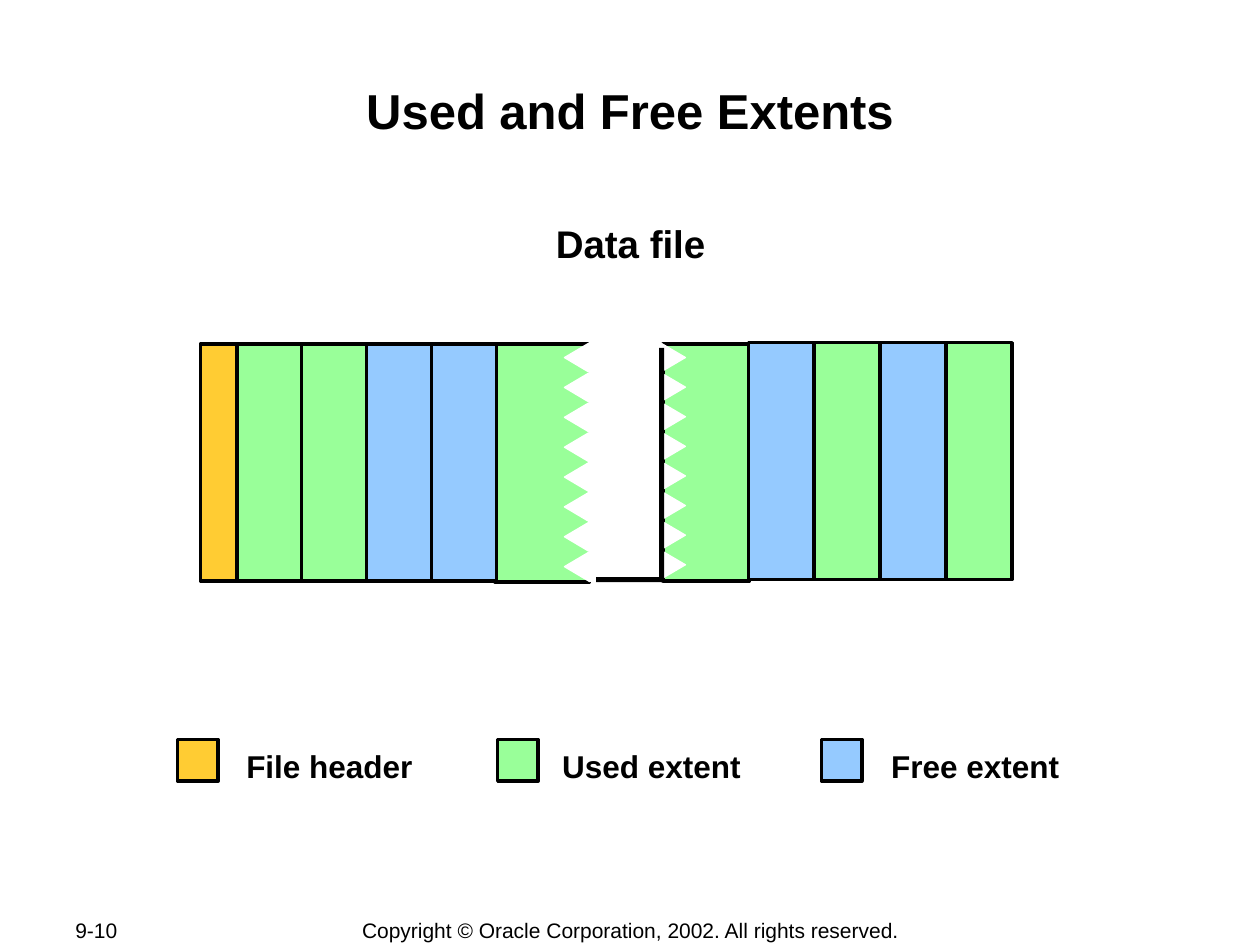
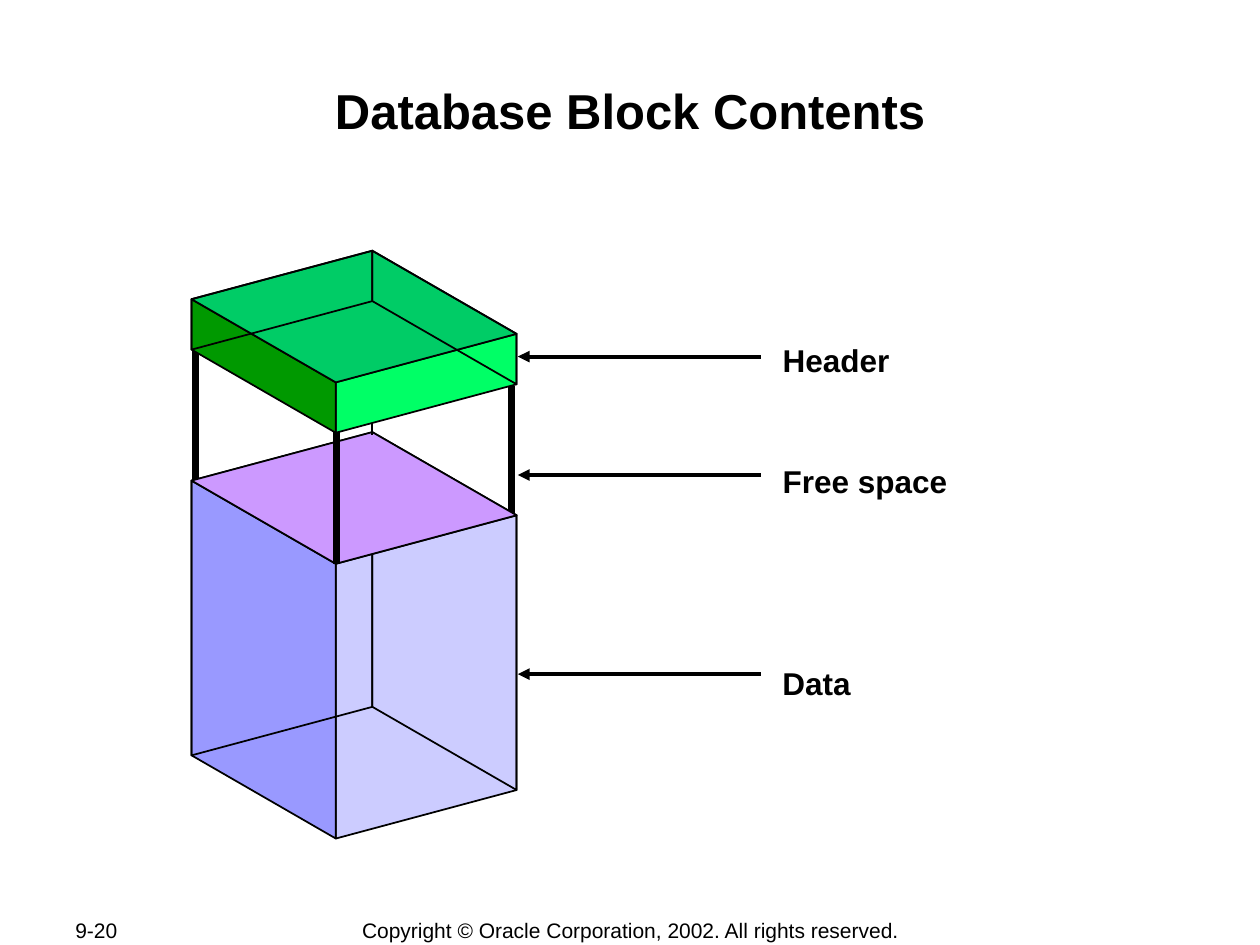
import dataclasses

import lxml.etree
import pptx
import pptx.dml.color
import pptx.enum.shapes
import pptx.enum.text
import pptx.oxml.ns
import pptx.util

ALIGN = pptx.enum.text.PP_ALIGN
ANCHOR = pptx.enum.text.MSO_ANCHOR
RECTANGLE = pptx.enum.shapes.MSO_SHAPE.RECTANGLE
STRAIGHT = pptx.enum.shapes.MSO_CONNECTOR.STRAIGHT

# The slide is a grid of 100 columns by 75 rows, all lengths count these cells
COLUMNS, ROWS = 100, 75
CELL = pptx.util.Inches(0.1)
COPYRIGHT = "Copyright © Oracle Corporation, 2002. All rights reserved."


@dataclasses.dataclass(frozen=True)
class Theme:
    font: str = "Arial"
    ink: str = "000000"
    paper: str = "FFFFFF"
    file_header: str = "FFCC33"
    used: str = "99FF99"
    free: str = "95CAFF"
    data_left: str = "9999FF"
    data_right: str = "CCCCFF"
    data_top: str = "CC99FF"
    header_left: str = "009900"
    header_right: str = "00FF66"
    header_top: str = "00CC66"
    title_size: float = 28
    heading_size: float = 22
    label_size: float = 18
    footer_size: float = 12
    hairline: float = 0.75
    edge: float = 1
    outline: float = 2
    arrow: float = 2.25
    post: float = 4


THEME = Theme()


@dataclasses.dataclass(frozen=True)
class Box:
    left: float
    top: float
    width: float
    height: float

    def inner(self, dx, dy, width, height):
        return Box(self.left + dx, self.top + dy, width, height)

    def point(self, dx, dy):
        return cells(self.left + dx), cells(self.top + dy)

    def emu(self):
        return [cells(n) for n in (self.left, self.top, self.width, self.height)]


def cells(count):
    return round(count * CELL)


def rgb(value):
    return pptx.dml.color.RGBColor.from_string(value)


# Drawing helpers

def paint(shape, fill=None, line=None, weight=THEME.outline):
    shape.shadow.inherit = False
    if fill:
        shape.fill.solid()
        shape.fill.fore_color.rgb = rgb(fill)
    else:
        shape.fill.background()
    if line:
        shape.line.color.rgb = rgb(line)
        shape.line.width = pptx.util.Pt(weight)
    else:
        shape.line.fill.background()
    return shape


def add_rect(shapes, box, **style):
    return paint(shapes.add_shape(RECTANGLE, *box.emu()), **style)


def add_polygon(shapes, points, **style):
    outline = shapes.build_freeform(*points[0], scale=1.0)
    outline.add_line_segments(points[1:], close=True)
    return paint(outline.convert_to_shape(), **style)


def add_line(shapes, start, end, weight, arrow=False):
    connector = shapes.add_connector(STRAIGHT, *start, *end)
    connector.line.color.rgb = rgb(THEME.ink)
    connector.line.width = pptx.util.Pt(weight)
    properties = connector._element.spPr
    if arrow:
        lxml.etree.SubElement(properties.find(pptx.oxml.ns.qn("a:ln")),
                              pptx.oxml.ns.qn("a:headEnd"), type="triangle")
    lxml.etree.SubElement(properties, pptx.oxml.ns.qn("a:effectLst"))


def cast_shadow(shape, color, distance, angle):
    effects = shape._element.spPr.find(pptx.oxml.ns.qn("a:effectLst"))
    shadow = lxml.etree.SubElement(
        effects, pptx.oxml.ns.qn("a:outerShdw"), blurRad="0",
        dist=str(pptx.util.Pt(distance)), dir=str(angle * 60000),
        algn="ctr", rotWithShape="0")
    lxml.etree.SubElement(shadow, pptx.oxml.ns.qn("a:srgbClr"), val=color)


def write(shape, text, size, bold=True, align=ALIGN.CENTER, anchor=ANCHOR.TOP,
          side=0.2, above=0.7):
    frame = shape.text_frame
    frame.word_wrap = True
    frame.auto_size = pptx.enum.text.MSO_AUTO_SIZE.NONE
    frame.vertical_anchor = anchor
    frame.margin_left = frame.margin_right = cells(side)
    frame.margin_top, frame.margin_bottom = cells(above), 0
    paragraph = frame.paragraphs[0]
    paragraph.text = text
    paragraph.alignment = align
    paragraph.space_before = pptx.util.Pt(0)
    font = paragraph.font
    font.name, font.size, font.bold = THEME.font, pptx.util.Pt(size), bold
    font.color.rgb = rgb(THEME.ink)


def add_label(shapes, box, text, size=THEME.label_size, **style):
    write(shapes.add_textbox(*box.emu()), text, size, **style)


# Frame shared by both slides

def add_page(deck, title, number):
    page = deck.slides.add_slide(deck.slide_layouts[5])
    heading = page.shapes.title
    heading.left, heading.top, heading.width, heading.height = Box(10, 5.8, 80, 9.6).emu()
    write(heading, title, THEME.title_size, above=0.6)
    footer = dict(size=THEME.footer_size, bold=False, anchor=ANCHOR.MIDDLE, above=0)
    add_label(page.shapes, Box(5, 72.8, 10.6, 2), number, align=ALIGN.LEFT, side=1, **footer)
    add_label(page.shapes, Box(27.6, 72.8, 44.9, 2.1), COPYRIGHT, **footer)
    return page.shapes


# Data file with its extents

def add_torn_edge(shapes, box, direction, pitch, count=8):
    """White teeth reaching from the box's left side in the given direction."""
    group = shapes.add_group_shape().shapes
    white = dict(fill=THEME.paper, line=THEME.paper, weight=THEME.hairline)
    backing, reach = 0.6, 2 * direction
    for tooth in range(count):
        y = tooth * pitch
        add_rect(group, box.inner(0 if direction < 0 else -backing, y, backing, pitch), **white)
        add_polygon(group, [box.point(0, y + pitch), box.point(reach, y + pitch / 2),
                            box.point(0, y)], **white)


def add_extents(shapes, box, pitch, colors):
    for column, color in enumerate(colors):
        add_rect(shapes, box.inner(column * pitch, 0, pitch, box.height),
                 fill=color, line=THEME.ink)


def add_data_file(shapes, box):
    used, free, tall = THEME.used, THEME.free, box.height
    # Pieces on both sides of the tear
    add_rect(shapes, box.inner(36.7, 0.1, 6.9, tall), fill=used, line=THEME.ink)
    add_rect(shapes, box.inner(23.4, 0.1, 7.5, tall + 0.1), fill=used, line=THEME.ink)
    add_torn_edge(shapes, box.inner(30.9, 0, 0, tall), -1, pitch=2.37)
    add_torn_edge(shapes, box.inner(36.5, 0, 0, tall), 1, pitch=2.35)
    gap = add_rect(shapes, box.inner(31, 0, 5.4, tall - 0.2), fill=THEME.paper)
    cast_shadow(gap, THEME.ink, distance=4.2, angle=45)
    # File header and whole extents
    add_rect(shapes, box.inner(0, 0.1, 2.9, tall), fill=THEME.file_header, line=THEME.ink)
    add_extents(shapes, box.inner(2.9, 0.1, 0, tall), 5.15, [used, used, free, free])
    add_extents(shapes, box.inner(43.5, 0, 0, tall), 5.23, [free, used, free, used])


def add_legend(shapes, box):
    entries = [("File header", THEME.file_header, 0, 3.7, 16.7),
               ("Used extent", THEME.used, 25.4, 28.7, 17.8),
               ("Free extent", THEME.free, 51.1, 54.9, 16.8)]
    for text, color, swatch, label, width in entries:
        add_rect(shapes, box.inner(swatch, 0.1, 3.2, 3.3), fill=color, line=THEME.ink)
        add_label(shapes, box.inner(label, 0, width, box.height), text)


def build_extents(deck):
    shapes = add_page(deck, "Used and Free Extents", "9-10")
    add_label(shapes, Box(43.1, 17, 13.9, 4.7), "Data file",
              size=THEME.heading_size, above=0.5)
    add_data_file(shapes, Box(15.9, 27.2, 64.4, 18.8))
    add_legend(shapes, Box(14.1, 58.6, 71.7, 3.9))


# Database block drawn as stacked prisms

CORNERS = {"back": (14.35, 0), "right": (25.8, 6.6),
           "front": (11.45, 10.45), "left": (0, 3.85)}


def add_prism(shapes, box, left, right, top, open_lid):
    """Prism whose walls are box.height tall; open_lid shows its back edges on top."""
    edge = dict(line=THEME.ink, weight=THEME.edge)

    def add_wall(first, second, fill=None):
        (x1, y1), (x2, y2) = CORNERS[first], CORNERS[second]
        add_polygon(shapes, [box.point(x1, y1), box.point(x1, y1 + box.height),
                             box.point(x2, y2 + box.height), box.point(x2, y2)],
                    fill=fill, **edge)

    def add_lid():
        add_polygon(shapes, [box.point(*xy) for xy in CORNERS.values()], fill=top, **edge)

    add_wall("right", "front", right)
    add_wall("left", "front", left)
    if open_lid:
        add_lid()
    add_wall("back", "right")
    add_wall("back", "left")
    if not open_lid:
        add_lid()


def add_post(shapes, box, x, top, bottom, weight=THEME.post):
    add_line(shapes, box.point(x, top), box.point(x, bottom), weight)


def add_block(shapes, box):
    # Side posts stand behind the prisms, the front one between them
    add_post(shapes, box, 0.35, 7.7, 18.4)
    add_post(shapes, box, 25.4, 10.7, 21)
    add_prism(shapes, box.inner(0, 14.4, box.width, 21.8), THEME.data_left,
              THEME.data_right, THEME.data_top, open_lid=False)
    add_post(shapes, box, 11.5, 14.2, 24.9)
    add_post(shapes, box, 14.35, 7.1, 14.6, THEME.edge)
    add_prism(shapes, box.inner(0, 0, box.width, 4), THEME.header_left,
              THEME.header_right, THEME.header_top, open_lid=True)


def add_callouts(shapes, box):
    callouts = [("Header", 10.5, 0, 1.9), ("Free space", 15.1, 9.6, 11.3),
                ("Data", 7.4, 25.6, 27.1)]
    for text, width, label_row, arrow_row in callouts:
        add_label(shapes, box.inner(20, label_row, width, 3.9), text)
        add_line(shapes, box.point(0, arrow_row), box.point(19.3, arrow_row),
                 THEME.arrow, arrow=True)


def build_block(deck):
    shapes = add_page(deck, "Database Block Contents", "9-20")
    add_callouts(shapes, Box(41.1, 26.4, 35.1, 29.5))
    add_block(shapes, Box(15.2, 19.9, 25.8, 46.7))


def main():
    deck = pptx.Presentation()
    deck.slide_width, deck.slide_height = cells(COLUMNS), cells(ROWS)
    build_extents(deck)
    build_block(deck)
    deck.save("out.pptx")


if __name__ == "__main__":
    main()
